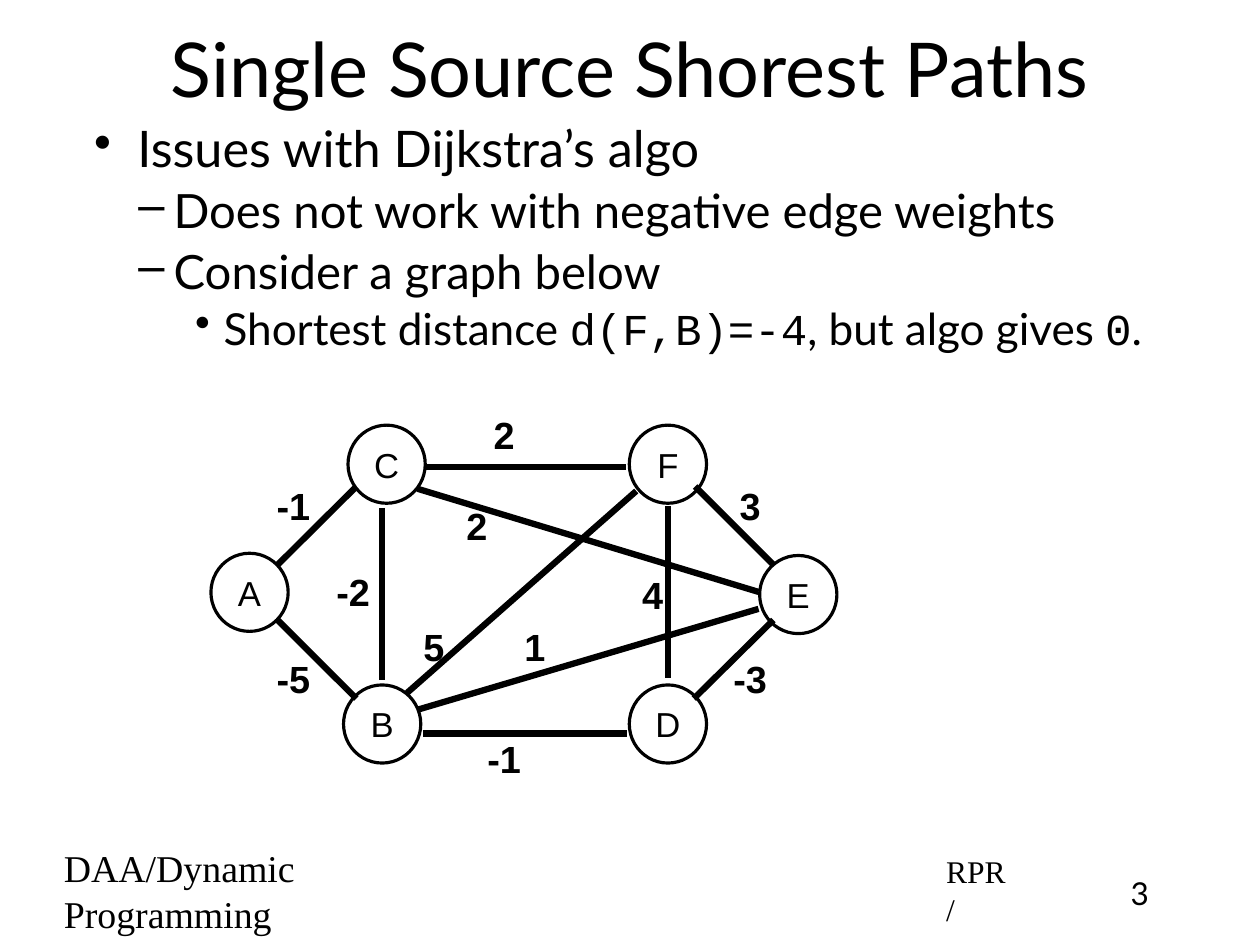
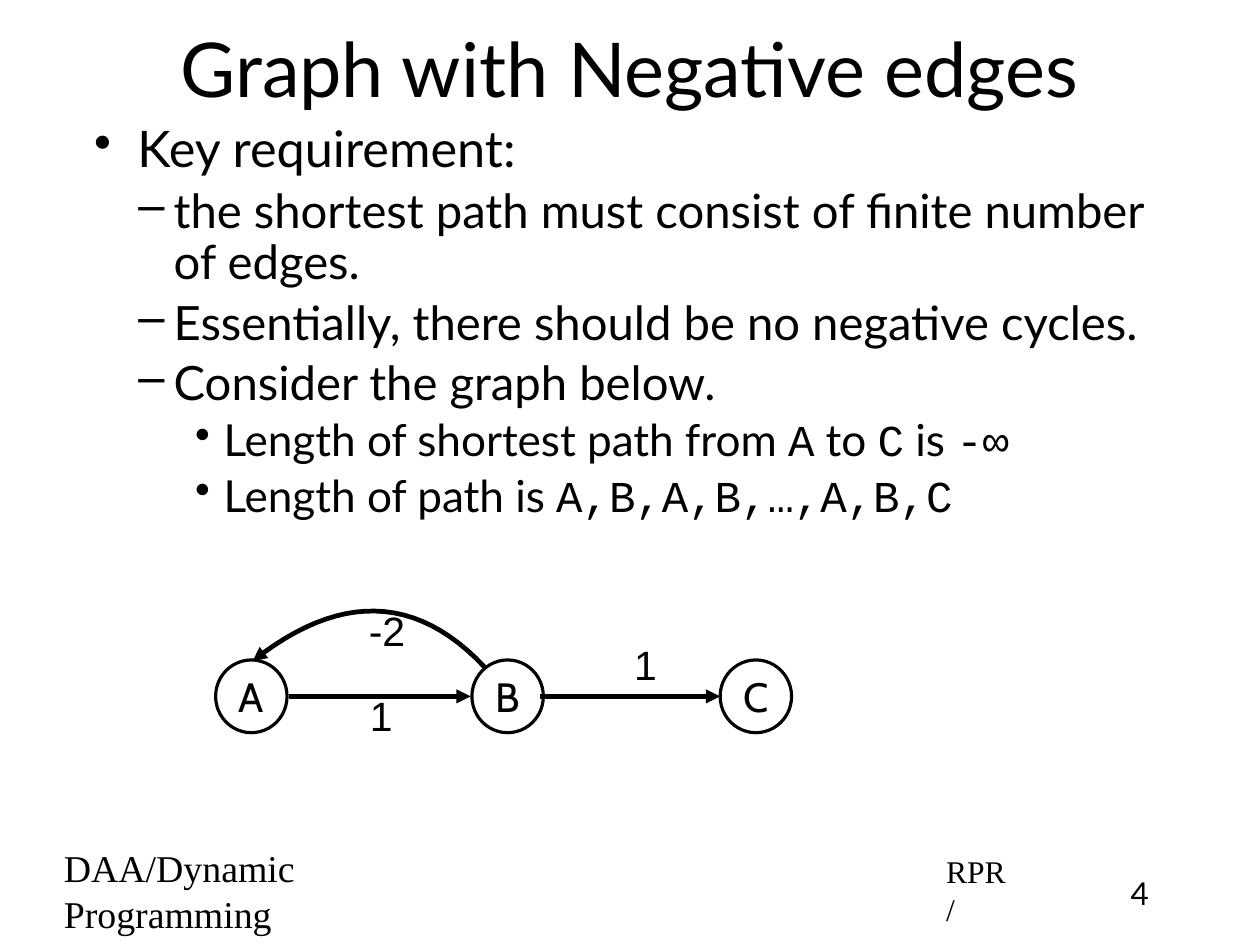
from lxml.etree import SubElement
from pptx import Presentation
from pptx.dml.color import RGBColor
from pptx.enum.shapes import MSO_CONNECTOR, MSO_SHAPE
from pptx.enum.text import MSO_ANCHOR, PP_ALIGN
from pptx.oxml.ns import qn
from pptx.util import Cm, Pt

BLACK = RGBColor(0, 0, 0)
LEFT, CENTER = PP_ALIGN.LEFT, PP_ALIGN.CENTER
TOP, MIDDLE = MSO_ANCHOR.TOP, MSO_ANCHOR.MIDDLE
OVAL, STRAIGHT = MSO_SHAPE.OVAL, MSO_CONNECTOR.STRAIGHT
BODY_FONT, CODE_FONT, FOOTER_FONT = "Lato", "Courier New", "Times New Roman"
LABEL_FONT, NODE_FONT = "Arial", "Cabin"
INSET = 0.16
LEVELS = [
    {"size": 32, "before": 7, "margin": 1.07, "indent": -0.97, "bullet": "•"},
    {"size": 30, "before": 6, "margin": 1.88, "indent": -0.79, "bullet": "–"},
    {"size": 28, "before": 5, "margin": 3, "indent": -0.64, "bullet": "•"},
]


def write(para, text, size, font=BODY_FONT, bold=False, align=LEFT):
    """Write text into a paragraph; parts between backticks use the code font."""
    para.alignment = align
    for index, part in enumerate(text.split("`")):
        if part:
            span = para.add_run()
            span.text = part
            span.font.name = CODE_FONT if index % 2 else font
            span.font.size = Pt(size)
            span.font.bold = bold
            span.font.color.rgb = BLACK


class Deck:
    def __init__(self):
        self.deck = Presentation()
        self.deck.slide_width = Cm(28.22)
        self.deck.slide_height = Cm(21.17)
        self.page = None

    def add_page(self, number, title, bullets, body_height):
        self.page = self.deck.slides.add_slide(self.deck.slide_layouts[6])
        self.text(title, 2.11, 0.18, 23.98, 2.64, size=48, align=CENTER)
        self.bullets(bullets, 1.85, 2.62, 25.15, body_height)
        self.text(str(number), 24.69, 19.41, 1.68, 1.07, anchor=TOP, size=20, align=CENTER)
        self.text("DAA/Dynamic Programming", 1.17, 19.35, 10.46, 1.19,
                  left_inset=0.26, right_inset=4, size=24, font=FOOTER_FONT)
        self.text("RPR/", 20.93, 19.41, 1.96, 1.07,
                  left_inset=0.26, right_inset=0.3, size=20, font=FOOTER_FONT)

    def frame(self, shape, anchor=MIDDLE, wrap=True, left_inset=INSET, right_inset=INSET):
        frame = shape.text_frame
        frame.word_wrap = wrap
        frame.vertical_anchor = anchor
        frame.margin_left, frame.margin_right = Cm(left_inset), Cm(right_inset)
        frame.margin_top = frame.margin_bottom = Cm(INSET)
        return frame

    def text(self, text, left, top, width, height, anchor=MIDDLE, wrap=True,
             left_inset=INSET, right_inset=INSET, **style):
        box = self.page.shapes.add_textbox(Cm(left), Cm(top), Cm(width), Cm(height))
        frame = self.frame(box, anchor, wrap, left_inset, right_inset)
        write(frame.paragraphs[0], text, **style)

    def bullets(self, items, left, top, width, height):
        box = self.page.shapes.add_textbox(Cm(left), Cm(top), Cm(width), Cm(height))
        frame = self.frame(box, TOP)
        for index, (level, text) in enumerate(items):
            para = frame.add_paragraph() if index else frame.paragraphs[0]
            look = LEVELS[level]
            para.level = level
            para.line_spacing = 0.9
            para.space_before = Pt(look["before"])
            write(para, text, look["size"])
            properties = para._p.get_or_add_pPr()
            properties.set("marL", str(Cm(look["margin"])))
            properties.set("indent", str(Cm(look["indent"])))
            SubElement(properties, qn("a:buChar"), char=look["bullet"])

    def node(self, name, x, y, width, height, **style):
        circle = self.page.shapes.add_shape(
            OVAL, Cm(x - width / 2), Cm(y - height / 2), Cm(width), Cm(height))
        circle.shadow.inherit = False
        circle.fill.background()
        self.stroke(circle, 2)
        write(self.frame(circle).paragraphs[0], name, align=CENTER, **style)

    def label(self, text, x, y, **style):
        width, height = 0.44 + 0.35 * len(text), 1.3
        self.text(text, x - width / 2, y - height / 2, width, height,
                  wrap=False, font=LABEL_FONT, align=CENTER, **style)

    def stroke(self, shape, weight, arrow=None):
        shape.line.color.rgb = BLACK
        shape.line.width = Pt(weight)
        if arrow:
            SubElement(shape.element.spPr.find(qn("a:ln")), qn(arrow), type="triangle")

    def edge(self, x1, y1, x2, y2, weight, arrow=None):
        line = self.page.shapes.add_connector(STRAIGHT, Cm(x1), Cm(y1), Cm(x2), Cm(y2))
        self.stroke(line, weight, arrow)
        SubElement(line.element.spPr, qn("a:effectLst"))

    def arc(self, start, pull_start, pull_end, end, weight, arrow, steps=24):
        points = []
        for step in range(steps + 1):
            t = step / steps
            points.append(tuple(
                Cm((1 - t) ** 3 * a + 3 * t * (1 - t) ** 2 * b + 3 * t * t * (1 - t) * c + t ** 3 * d)
                for a, b, c, d in zip(start, pull_start, pull_end, end)))
        builder = self.page.shapes.build_freeform(*points[0])
        builder.add_line_segments(points[1:], close=False)
        curve = builder.convert_to_shape()
        curve.shadow.inherit = False
        curve.fill.background()
        self.stroke(curve, weight, arrow)


deck = Deck()

deck.add_page(3, "Single Source Shorest Paths", [
    (0, "Issues with Dijkstra’s algo"),
    (1, "Does not work with negative edge weights"),
    (1, "Consider a graph below"),
    (2, "Shortest distance `d(F,B)=-4`, but algo gives `0`."),
], 6.07)
GRAPH_NODES = {
    "A": (5.59, 13.27), "B": (8.56, 16.22), "C": (8.66, 10.4),
    "D": (14.96, 16.22), "E": (17.88, 13.32), "F": (14.96, 10.4),
}
WEIGHTED_EDGES = [
    ((6.22, 13.89, 7.98, 15.65), "-5", (6.57, 15.19)),
    ((8.56, 11.38, 8.56, 15.24), "-2", (7.91, 13.26)),
    ((9.47, 16.43, 14.05, 16.43), "-1", (11.29, 16.99)),
    ((6.22, 12.65, 7.98, 10.9), "-1", (6.57, 11.33)),
    ((9.53, 10.46, 14.02, 10.46), "2", (11.29, 9.73)),
    ((15.57, 10.9, 17.32, 12.65), "3", (16.8, 11.33)),
    ((15.54, 15.65, 17.32, 13.89), "-3", (16.8, 15.19)),
    ((9.35, 10.95, 16.99, 13.26), "2", (10.68, 11.76)),
    ((9.12, 15.52, 14.25, 11), "5", (9.72, 14.48)),
    ((9.35, 15.9, 16.99, 13.64), "1", (11.98, 14.48)),
    ((14.96, 11.33, 14.96, 15.19), "4", (14.62, 13.31)),
]
for name, center in GRAPH_NODES.items():
    deck.node(name, *center, 1.73, 1.75, size=22, font=LABEL_FONT)
for ends, weight, center in WEIGHTED_EDGES:
    deck.edge(*ends, 4)
    deck.label(weight, *center, size=24, bold=True)

deck.add_page(4, "Graph with Negative edges", [
    (0, "Key requirement:"),
    (1, "the shortest path must consist of finite number of edges."),
    (1, "Essentially, there should be no negative cycles."),
    (1, "Consider the graph below."),
    (2, "Length of shortest path from `A` to `C` is `-∞`"),
    (2, "Length of path is `A,B,A,B,…,A,B,C`"),
], 9.22)
AXIS = 15.6
for name, x in (("A", 5.63), ("B", 11.37), ("C", 16.93)):
    deck.node(name, x, AXIS, 1.6, 1.63, size=26, font=NODE_FONT)
for start, end in ((6.48, 10.54), (12.09, 16.13)):
    deck.edge(start, AXIS, end, AXIS, 3, "a:tailEnd")
deck.arc((5.66, 14.81), (7.59, 13.28), (9.32, 13.31), (10.85, 14.94), 3, "a:headEnd")
for weight, x, y in (("1", 8.52, 16.01), ("-2", 8.67, 14.11), ("1", 14.44, 14.87)):
    deck.label(weight, x, y, size=26)

deck.deck.save("out.pptx")
